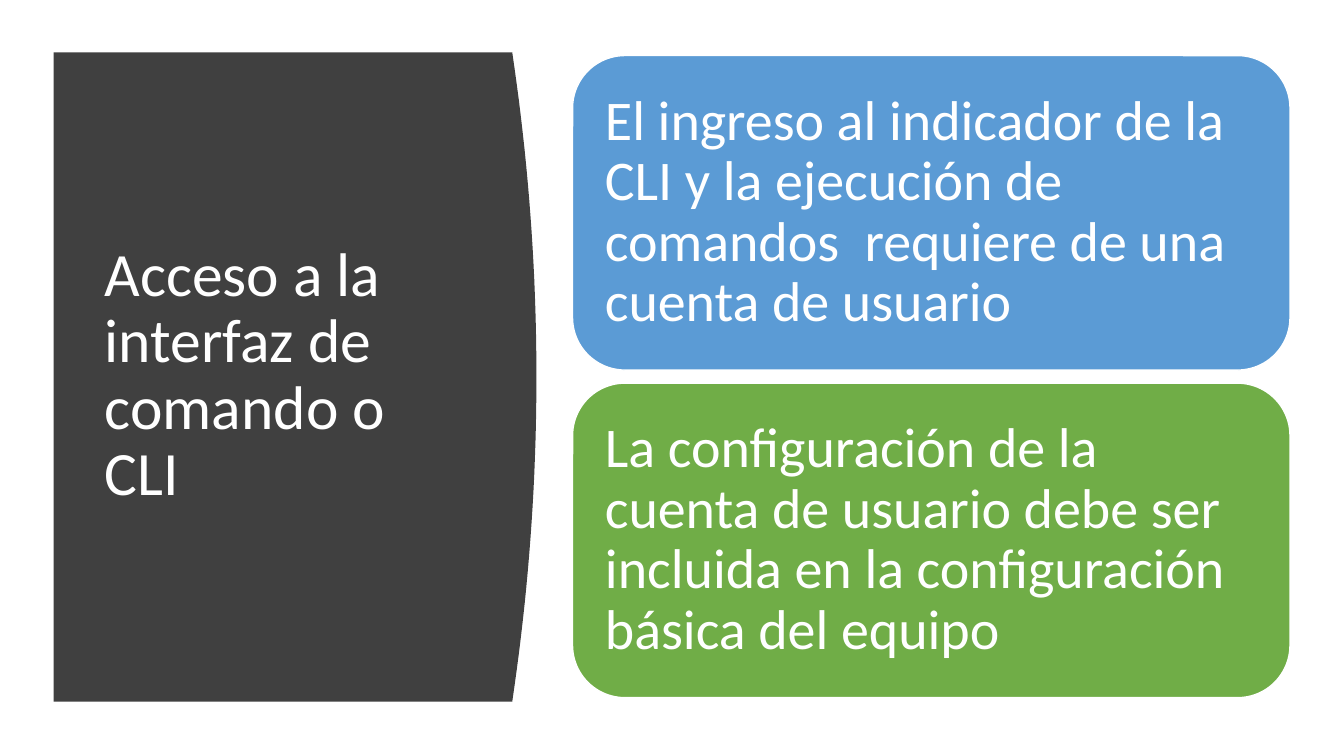
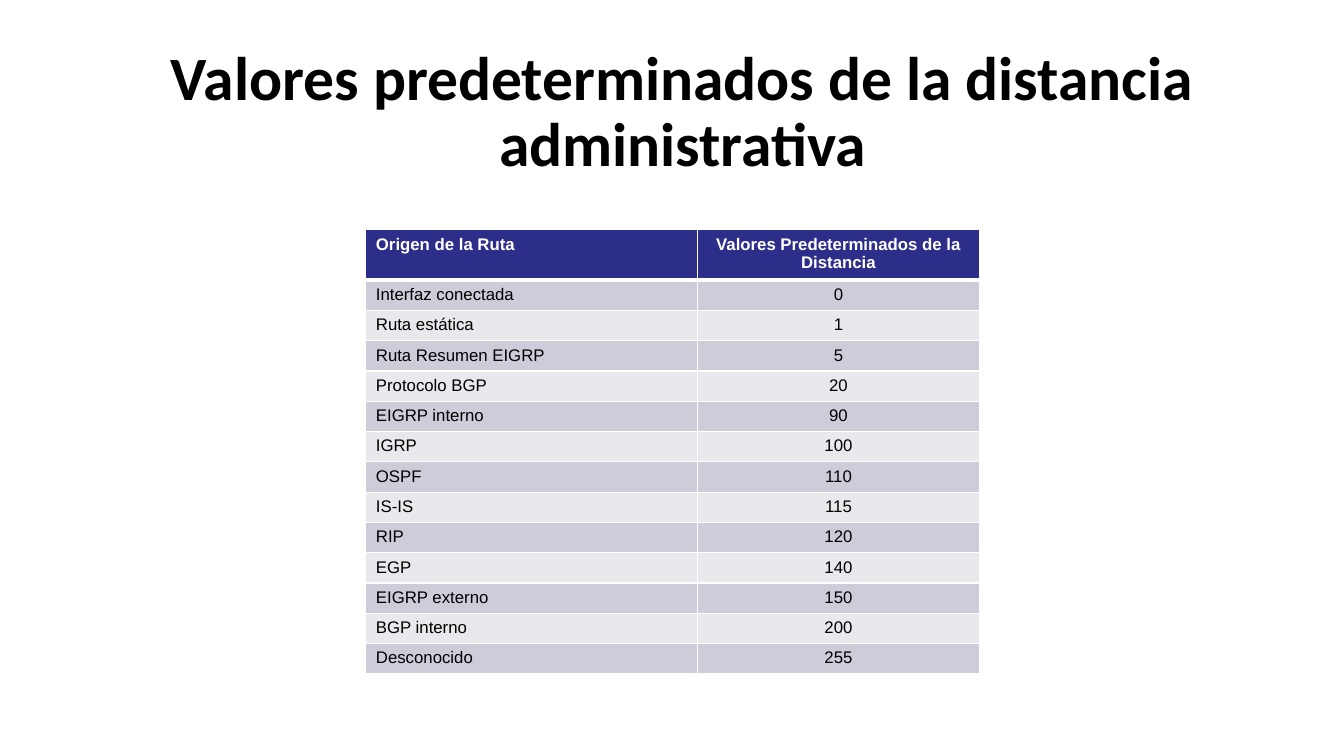
from dataclasses import dataclass

from lxml import etree
from pptx import Presentation
from pptx.dml.color import RGBColor
from pptx.enum.shapes import MSO_SHAPE
from pptx.enum.text import MSO_ANCHOR, PP_ALIGN
from pptx.oxml.ns import qn
from pptx.util import Cm, Pt

LEFT, CENTER = PP_ALIGN.LEFT, PP_ALIGN.CENTER
TOP, MIDDLE = MSO_ANCHOR.TOP, MSO_ANCHOR.MIDDLE
ROUND = MSO_SHAPE.ROUNDED_RECTANGLE


@dataclass(frozen=True)
class Theme:
    """Colours, fonts and type sizes of the deck."""
    white: str = "FFFFFF"
    black: str = "000000"
    panel: str = "404040"
    blue: str = "5B9BD5"
    green: str = "70AD47"
    head: str = "2D2D8A"
    bands: tuple = ("CDCDDA", "E8E8ED")
    font: str = "Calibri"
    grid: str = "Arial"
    title: int = 44
    body: int = 40
    small: int = 12


T = Theme()
CARDS = [
    ("El ingreso al indicador de la CLI y la ejecución de comandos  requiere "
     "de una cuenta de usuario", T.blue),
    ("La configuración de la cuenta de usuario debe ser incluida en la "
     "configuración básica del equipo", T.green),
]
ROUTES = [
    ("Origen de la Ruta", "Valores Predeterminados de la Distancia"),
    ("Interfaz conectada", "0"),
    ("Ruta estática", "1"),
    ("Ruta Resumen EIGRP", "5"),
    ("Protocolo BGP", "20"),
    ("EIGRP interno", "90"),
    ("IGRP", "100"),
    ("OSPF", "110"),
    ("IS-IS", "115"),
    ("RIP", "120"),
    ("EGP", "140"),
    ("EIGRP externo", "150"),
    ("BGP interno", "200"),
    ("Desconocido", "255"),
]


def paint(item, color):
    """Give a shape or cell a solid fill."""
    item.fill.solid()
    item.fill.fore_color.rgb = RGBColor.from_string(color)


def write(frame, text, size=T.body, font=T.font, color=T.white, bold=False,
          align=LEFT, anchor=MIDDLE, lead=0.9):
    """Set one formatted paragraph in a text frame."""
    frame.word_wrap = True
    frame.vertical_anchor = anchor
    para = frame.paragraphs[0]
    para.alignment = align
    para.line_spacing = lead
    run = para.add_run()
    run.text = text
    run.font.size = Pt(size)
    run.font.name = font
    run.font.bold = bold
    run.font.color.rgb = RGBColor.from_string(color)


def title(slide, box, text, **style):
    """Add a slide title in the box."""
    area = slide.shapes.add_textbox(*map(Cm, box))
    write(area.text_frame, text, size=T.title, **style)


def panel(slide, box, text, bulge=0.61, steps=40):
    """Add a dark panel with a bowed right edge and its title."""
    x, y, w, h = box
    curve = []
    for i in range(steps + 1):
        t = 2 * i / steps - 1
        curve.append((Cm(x + w - bulge * t * t), Cm(y + h * i / steps)))
    path = slide.shapes.build_freeform(Cm(x), Cm(y))
    path.add_line_segments(curve + [(Cm(x), Cm(y + h))])
    shape = path.convert_to_shape()
    shape.shadow.inherit = False
    paint(shape, T.panel)
    shape.line.fill.background()
    title(slide, (x + 1.04, y + 1.5, w - 2.67, h - 3.05), text)


def cards(slide, box, items, gap=0.33):
    """Stack equal rounded cards in the box."""
    x, y, w, h = box
    tall = (h - gap * (len(items) - 1)) / len(items)
    for i, (text, color) in enumerate(items):
        place = (x, y + i * (tall + gap), w, tall)
        card = slide.shapes.add_shape(ROUND, *map(Cm, place))
        card.shadow.inherit = False
        paint(card, color)
        card.line.color.rgb = RGBColor.from_string(T.white)
        card.line.width = Pt(1)
        frame = card.text_frame
        frame.margin_left = frame.margin_right = Cm(0.43)
        frame.margin_top = frame.margin_bottom = Cm(0.43)
        write(frame, text)


def edge(cell, **widths):
    """Draw white cell borders, widths in points by side."""
    props = cell._tc.get_or_add_tcPr()
    for i, (side, width) in enumerate(widths.items()):
        line = etree.Element(qn("a:ln" + side), w=str(Pt(width)))
        fill = etree.SubElement(line, qn("a:solidFill"))
        etree.SubElement(fill, qn("a:srgbClr"), val=T.white)
        props.insert(i, line)


def table(slide, box, rows, split=0.54, head=1.22):
    """Add a banded two-column table in the box."""
    x, y, w, h = box
    grid = slide.shapes.add_table(len(rows), 2, *map(Cm, box)).table
    for col, part in zip(grid.columns, (split, 1 - split)):
        col.width = Cm(w * part)
    for r, row in enumerate(rows):
        first = r == 0
        tall = head if first else (h - head) / (len(rows) - 1)
        grid.rows[r].height = Cm(tall)
        for c, text in enumerate(row):
            cell = grid.cell(r, c)
            paint(cell, T.head if first else T.bands[(r - 1) % 2])
            edge(cell, L=1, R=1, T=3 if r == 1 else 1, B=3 if first else 1)
            cell.vertical_anchor = TOP
            write(cell.text_frame, text, size=T.small, font=T.grid,
                  color=T.white if first else T.black, bold=first,
                  align=CENTER if c else LEFT, anchor=TOP, lead=1.0)


def access(slide):
    """Build the slide on access to the command line."""
    panel(slide, (1.35, 1.32, 12.17, 16.36),
          "Acceso a la interfaz de comando o CLI")
    cards(slide, (14.43, 1.4, 18.08, 16.18), CARDS)


def routes(slide):
    """Build the slide on administrative distance."""
    title(slide, (2.34, 1.02, 29.74, 3.68),
          "Valores predeterminados de la distancia administrativa",
          color=T.black, bold=True, align=CENTER)
    table(slide, (9.22, 5.79, 15.47, 10.19), ROUTES)


def main():
    """Build and save the deck."""
    deck = Presentation()
    deck.slide_width, deck.slide_height = Cm(33.87), Cm(19.05)
    for build in (access, routes):
        build(deck.slides.add_slide(deck.slide_layouts[6]))
    deck.save("out.pptx")


main()
